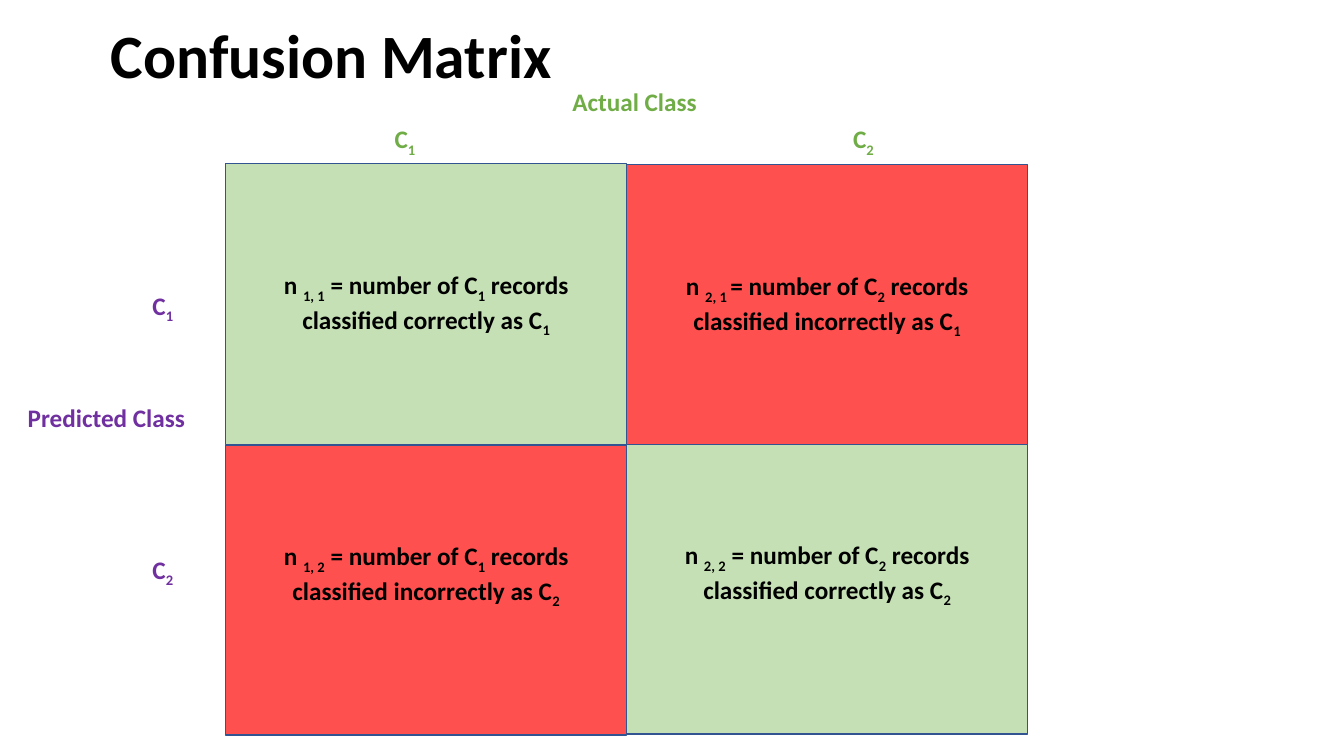
from pptx import Presentation
from pptx.dml.color import RGBColor as RGB
from pptx.enum.shapes import MSO_SHAPE as SHAPE
from pptx.enum.text import MSO_ANCHOR as ANCHOR, PP_ALIGN as ALIGN
from pptx.util import Pt

COLORS = {
    "text": "000000",
    "actual": "70AD47",
    "predicted": "7030A0",
    "correct": "C5E0B4",
    "incorrect": "FF5050",
    "border": "325491",
}
LABEL_HEIGHT = 29


def write(frame, text, size=18, color="text", align=ALIGN.CENTER, anchor=ANCHOR.TOP, spacing=1.0):
    """Fill a text frame, setting the parts in braces as subscripts."""
    frame.word_wrap = True
    frame.vertical_anchor = anchor
    paragraph = frame.paragraphs[0]
    paragraph.alignment = align
    paragraph.line_spacing = spacing
    for index, part in enumerate(text.replace("}", "{").split("{")):
        if not part:
            continue
        run = paragraph.add_run()
        run.text = part
        run.font.name = "Calibri"
        run.font.size = Pt(size)
        run.font.bold = True
        run.font.color.rgb = RGB.from_string(COLORS[color])
        if index % 2:
            run._r.get_or_add_rPr().set("baseline", "-25000")


def add_title(slide, left, top, width, height):
    """Place the slide title in its band."""
    title = slide.shapes.add_textbox(Pt(left), Pt(top), Pt(width), Pt(height))
    write(title.text_frame, "Confusion Matrix", size=44, align=ALIGN.LEFT,
          anchor=ANCHOR.MIDDLE, spacing=0.9)


def add_label(slide, text, center, top, width, color):
    """Place a class label centred on a vertical axis."""
    label = slide.shapes.add_textbox(Pt(center - width / 2), Pt(top), Pt(width), Pt(LABEL_HEIGHT))
    write(label.text_frame, text, color=color)


def add_cell(slide, text, left, top, width, height, fill, lift):
    """Draw one matrix cell, with its text raised by half of lift."""
    cell = slide.shapes.add_shape(SHAPE.RECTANGLE, Pt(left), Pt(top), Pt(width), Pt(height))
    cell.shadow.inherit = False
    cell.fill.solid()
    cell.fill.fore_color.rgb = RGB.from_string(COLORS[fill])
    cell.line.color.rgb = RGB.from_string(COLORS["border"])
    cell.line.width = Pt(1)
    cell.text_frame.margin_bottom = Pt(3.6 + lift)
    write(cell.text_frame, text, anchor=ANCHOR.MIDDLE)


def add_matrix(slide, left, top, width, height):
    """Draw the four cells, the incorrect ones first and slightly lower."""
    cell_width = width / 2
    row_heights = (201, height - 201)
    cells = [(2, 1, "{2, 1 }="), (1, 2, "{1, 2} ="), (2, 2, "{2, 2} ="), (1, 1, "{1, 1} =")]
    for actual, predicted, count in cells:
        result = "correct" if actual == predicted else "incorrect"
        nudge = 0.7 if result == "incorrect" else 0
        add_cell(
            slide,
            f"n {count} number of C{{{actual}}} records classified {result}ly as C{{{predicted}}}",
            left + (actual - 1) * cell_width,
            top + (predicted - 1) * row_heights[0] + nudge,
            cell_width,
            row_heights[predicted - 1],
            result,
            lift=22 if predicted == 2 else 0,
        )


def add_class_labels(slide, left, top, width):
    """Name the actual classes above and the predicted ones beside the matrix."""
    add_label(slide, "Actual Class", left + width / 2 + 5.7, top - 58.3, 152, "actual")
    add_label(slide, "Predicted Class", left - 85.2, top + 167, 152, "predicted")
    for number, column, row in ((1, 128, 87.1), (2, 455.6, 275.8)):
        name = f"C{{{number}}}"
        add_label(slide, name, left + column, top - 32, 52.6, "actual")
        add_label(slide, name, left - 44.9, top + row, 52.6, "predicted")


def main():
    """Build the slide and save it."""
    deck = Presentation()
    deck.slide_width, deck.slide_height = Pt(960), Pt(540)
    slide = deck.slides.add_slide(deck.slide_layouts[6])
    add_title(slide, 72, 0, 888, 84)
    add_matrix(slide, 161.2, 116.7, 572.8, 407.6)
    add_class_labels(slide, 161.2, 116.7, 572.8)
    deck.save("out.pptx")


if __name__ == "__main__":
    main()
